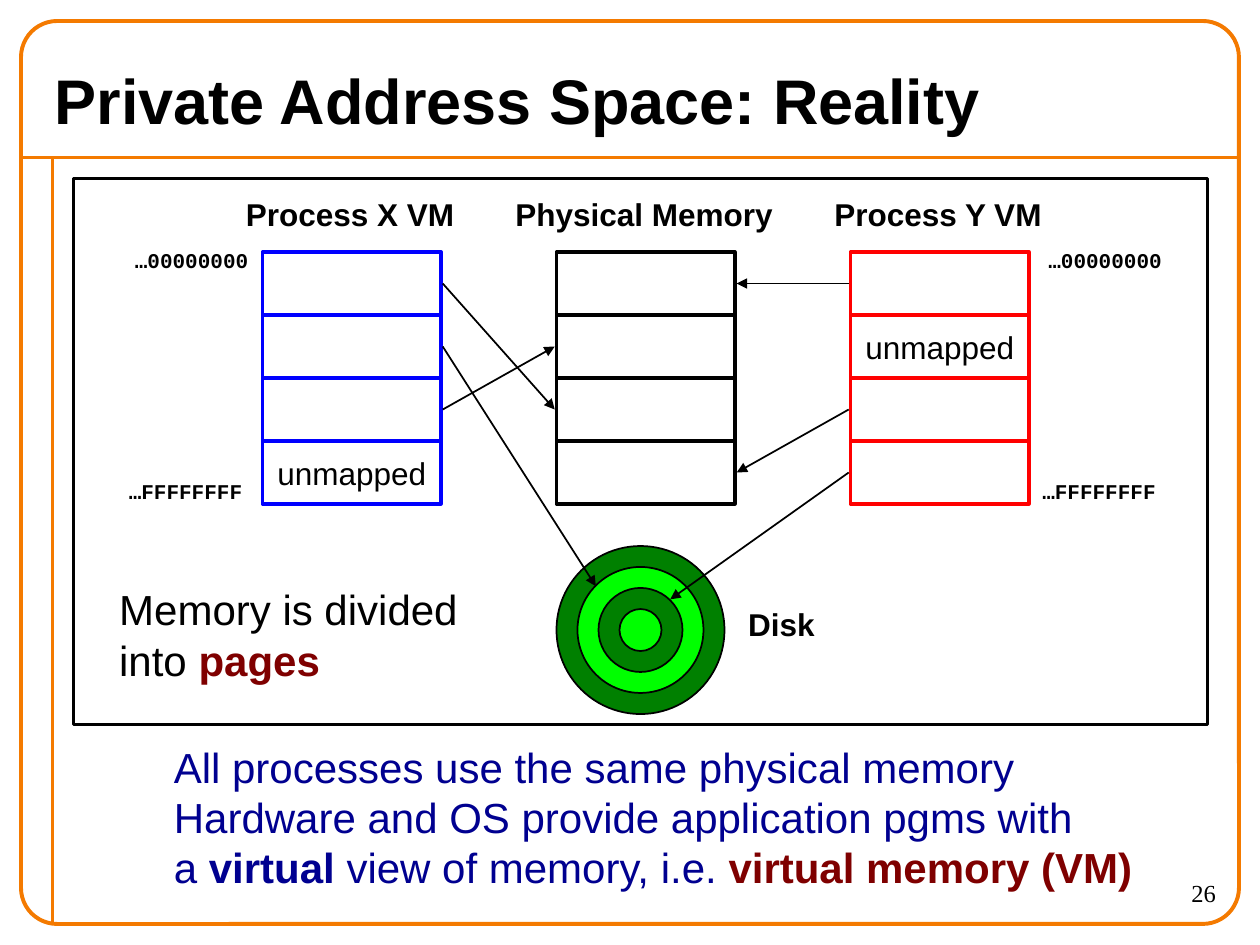
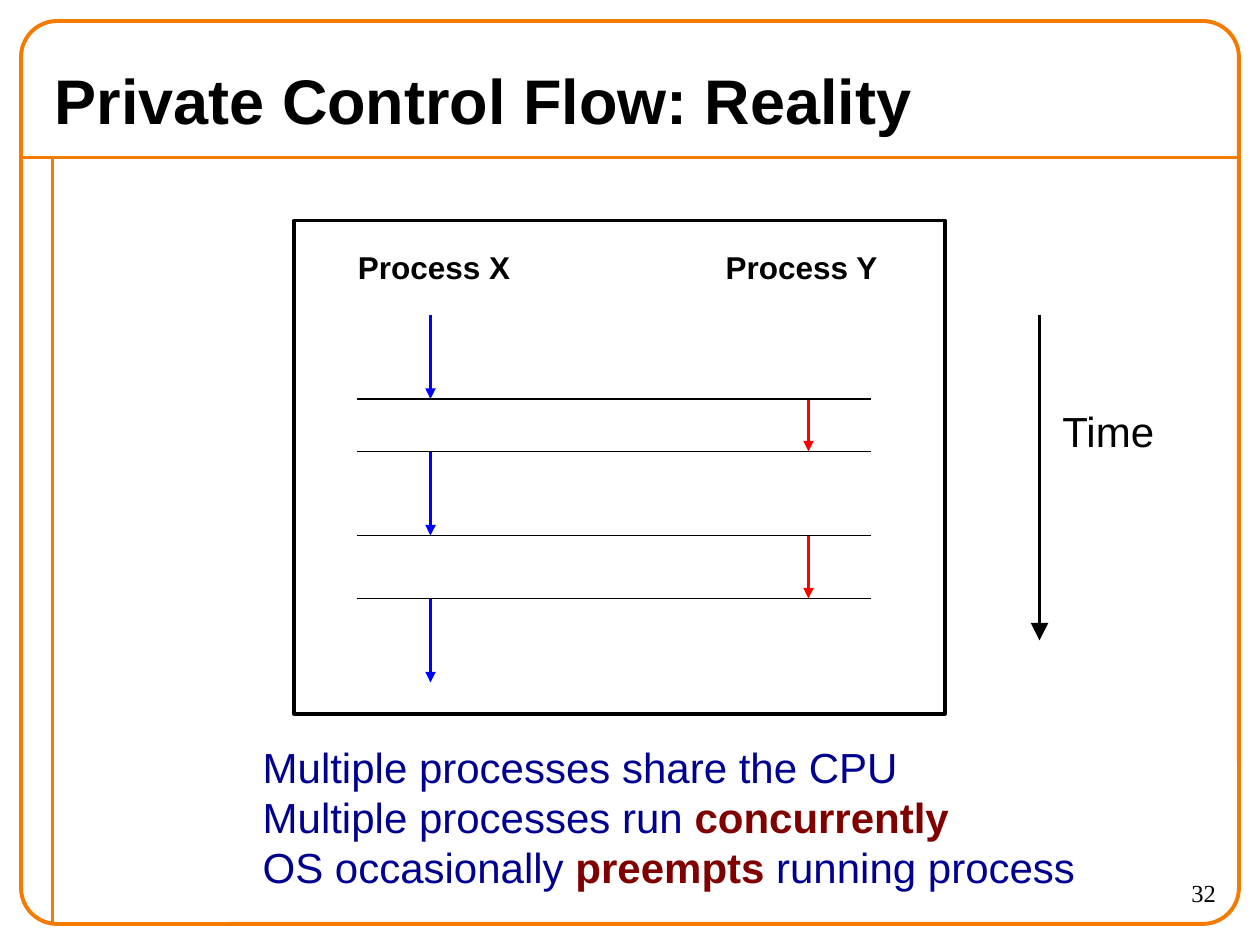
"""Builds two slides on private address spaces and private control flow."""
from dataclasses import dataclass
from itertools import pairwise

from lxml.etree import SubElement
from pptx import Presentation
from pptx.dml.color import RGBColor
from pptx.enum.shapes import MSO_CONNECTOR as CONN, MSO_SHAPE as SHAPE
from pptx.enum.text import MSO_ANCHOR as ANCHOR, MSO_AUTO_SIZE as FIT, PP_ALIGN as AL
from pptx.oxml.ns import qn
from pptx.util import Pt


@dataclass(frozen=True)
class Theme:
    frame: str = "F47A00"
    ink: str = "000000"
    navy: str = "000090"
    maroon: str = "7F0000"
    crimson: str = "800000"
    blue: str = "0000FF"
    red: str = "FF0000"
    green: str = "008000"
    lime: str = "00FF00"
    sans: str = "Arial"
    mono: str = "Courier New"
    serif: str = "Times New Roman"
    title: int = 36
    body: int = 24
    label: int = 18
    number: int = 14
    address: int = 12
    frame_line: float = 2.25
    heavy: int = 2
    thin: int = 1


class Deck:
    def __init__(self, theme):
        self.t = theme
        self.prs = Presentation()
        self.prs.slide_width, self.prs.slide_height = Pt(720), Pt(540)
        self.s = None

    def slide(self, title, number):
        t = self.t
        self.s = self.prs.slides.add_slide(self.prs.slide_layouts[5])
        self.line((12, 90), (708, 90), t.frame, t.frame_line)
        self.line((30, 90), (30, 528), t.frame, t.frame_line)
        self.shape(SHAPE.ROUNDED_RECTANGLE, (12, 12, 696, 516), t.frame,
                   t.frame_line).adjustments[0] = 0.04
        ph = self.s.shapes.title
        ph.left, ph.top, ph.width, ph.height = map(Pt, (24, 30, 672, 54))
        tf = ph.text_frame
        tf.text = title
        tf.auto_size, tf.vertical_anchor = FIT.NONE, ANCHOR.MIDDLE
        tf.paragraphs[0].alignment = AL.LEFT
        self.font(tf.paragraphs[0].runs[0], t.title, bold=True)
        self.text((630, 498, 72, 30), number, t.number, face=t.serif, align=AL.RIGHT)

    def font(self, r, size, color=None, bold=False, face=None):
        f = r.font
        f.size, f.bold, f.name = Pt(size), bold, face or self.t.sans
        f.color.rgb = RGBColor.from_string(color or self.t.ink)

    def text(self, box, text, size, color=None, bold=False, face=None, align=AL.LEFT):
        tf = self.s.shapes.add_textbox(*map(Pt, box)).text_frame
        tf.word_wrap = False
        tf.text = text
        for p in tf.paragraphs:
            p.alignment = align
            for r in p.runs:
                self.font(r, size, color, bold, face)

    def rich_text(self, box, lines, color):
        """Draw body lines; a (words, colour) pair becomes a bold run."""
        tf = self.s.shapes.add_textbox(*map(Pt, box)).text_frame
        tf.word_wrap = False
        for i, parts in enumerate(lines):
            p = tf.add_paragraph() if i else tf.paragraphs[0]
            for part in parts:
                bold = isinstance(part, tuple)
                words, tint = part if bold else (part, color)
                r = p.add_run()
                r.text = words
                self.font(r, self.t.body, tint, bold)

    def label(self, cx, y, width, text):
        self.text((cx - width / 2, y, width, 29), text, self.t.label, bold=True,
                  align=AL.CENTER)

    def shape(self, kind, box, line, width, fill=None, text=""):
        sp = self.s.shapes.add_shape(kind, *map(Pt, box))
        sp.shadow.inherit = False
        sp.line.color.rgb, sp.line.width = RGBColor.from_string(line), Pt(width)
        if fill:
            sp.fill.solid()
            sp.fill.fore_color.rgb = RGBColor.from_string(fill)
        else:
            sp.fill.background()
        if text:
            tf = sp.text_frame
            tf.text = text
            tf.word_wrap, tf.vertical_anchor = False, ANCHOR.MIDDLE
            tf.paragraphs[0].alignment = AL.CENTER
            self.font(tf.paragraphs[0].runs[0], self.t.label)
        return sp

    def line(self, start, end, color, width, head=None):
        """Draw a straight line; head is the arrowhead size, med or lg."""
        cx = self.s.shapes.add_connector(CONN.STRAIGHT, *map(Pt, (*start, *end)))
        cx.line.color.rgb, cx.line.width = RGBColor.from_string(color), Pt(width)
        sp_pr = cx._element.spPr
        if head:
            SubElement(sp_pr.find(qn("a:ln")), qn("a:tailEnd"), type="triangle",
                       w=head, len=head)
        SubElement(sp_pr, qn("a:effectLst"))

    def panel(self, box):
        self.shape(SHAPE.RECTANGLE, box, self.t.ink, self.t.heavy)


def address_space(d):
    t = d.t
    d.slide("Private Address Space: Reality", "26")
    d.panel((42, 102, 648, 312))

    page_w, page_h, top = 102, 36, 144
    x_left, mem_left, y_left = (150 + 168 * i for i in range(3))
    for left, name, name_w, color, unmapped in (
            (x_left, "Process X VM", 140, t.blue, 3),
            (mem_left, "Physical Memory", 168, t.ink, None),
            (y_left, "Process Y VM", 140, t.red, 1)):
        d.label(left + page_w / 2 - 1, 108, name_w, name)
        for i in range(4):
            d.shape(SHAPE.RECTANGLE, (left, top + page_h * i, page_w, page_h), color,
                    t.heavy, text="unmapped" if i == unmapped else "")
    for first_left, last_left in ((70, 66.5), (592, 588.5)):
        for left, y, address in ((first_left, 138, "…00000000"),
                                 (last_left, 270, "…FFFFFFFF")):
            d.text((left, y, 84, 22), address, t.address, bold=True, face=t.mono)

    for radius, fill in zip((48, 36, 24, 12), (t.green, t.lime) * 2):
        d.shape(SHAPE.OVAL, (366 - radius, 360 - radius, 2 * radius, 2 * radius),
                t.ink, t.thin, fill)
    d.label(446.5, 342, 60, "Disk")

    def left_of(left, page):
        return left - 1, top + page_h * (page + 0.5)

    def right_of(left, page):
        return left_of(left + page_w + 2, page)

    for start, end in (
            (right_of(x_left, 0), left_of(mem_left, 2)),
            (right_of(x_left, 1), (340.5, 335)),
            (right_of(x_left, 2), left_of(mem_left, 1)),
            (left_of(y_left, 0), right_of(mem_left, 0)),
            (left_of(y_left, 2), right_of(mem_left, 3)),
            (left_of(y_left, 3), (383, 342.5))):
        d.line(start, end, t.ink, t.thin, head="med")

    d.rich_text((61, 330, 220, 65),
                [["Memory is divided"], ["into ", ("pages", t.maroon)]], t.ink)
    d.rich_text((92.25, 420, 580, 94), [
        ["All processes use the same physical memory"],
        ["Hardware and OS provide application pgms with"],
        ["a ", ("virtual", t.navy), " view of memory, i.e. ",
         ("virtual memory (VM)", t.maroon)]], t.navy)


def control_flow(d):
    t = d.t
    d.slide("Private Control Flow: Reality", "32")
    d.panel((168, 126, 372, 282))
    d.label(248, 138, 110, "Process X")
    d.label(458, 138, 110, "Process Y")

    times = (180, 228, 258, 306, 342, 390)
    lanes = ((246, t.blue), (462, t.red))
    for i, (start, end) in enumerate(pairwise(times)):
        x, color = lanes[i % 2]
        d.line((x, start), (x, end), color, t.heavy, head="med")
    for y in times[1:-1]:
        d.line((204, y), (498, y), t.ink, t.thin)

    d.line((594, 180), (594, 366), t.ink, t.heavy, head="lg")
    d.text((600, 228, 76, 36), "Time", t.body)
    d.rich_text((143, 420, 500, 94), [
        ["Multiple processes share the CPU"],
        ["Multiple processes run ", ("concurrently", t.crimson)],
        ["OS occasionally ", ("preempts ", t.crimson), "running process"]], t.navy)


def main():
    d = Deck(Theme())
    address_space(d)
    control_flow(d)
    d.prs.save("out.pptx")


if __name__ == "__main__":
    main()
